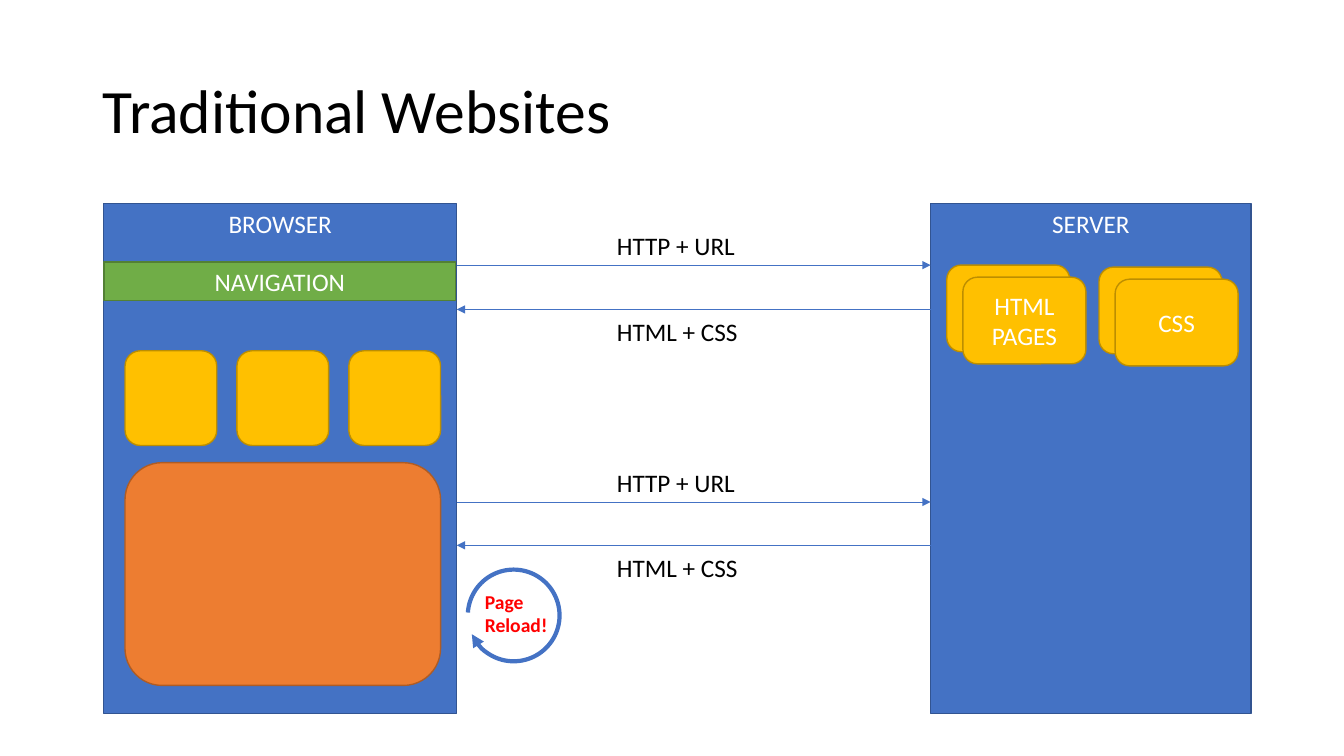
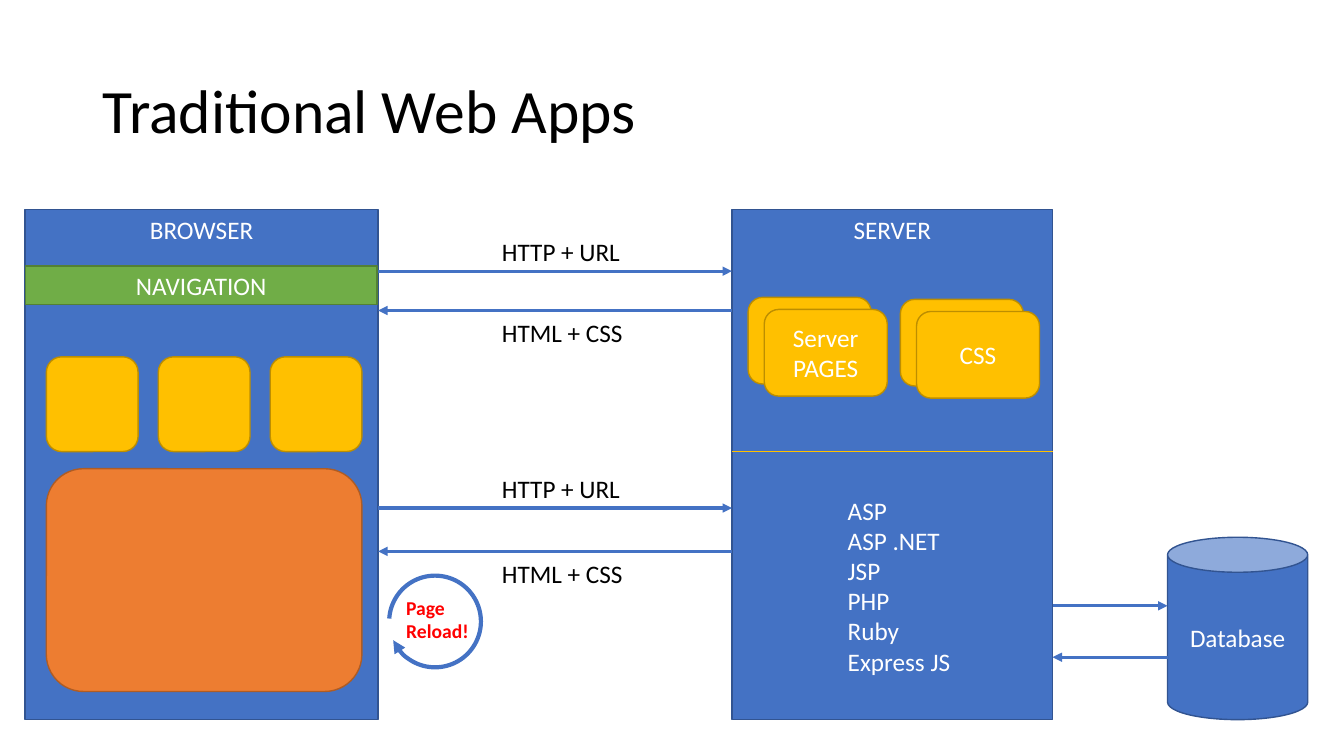
from lxml.etree import SubElement
from pptx import Presentation
from pptx.dml.color import RGBColor
from pptx.enum.shapes import MSO_CONNECTOR, MSO_SHAPE
from pptx.enum.text import MSO_ANCHOR, MSO_AUTO_SIZE, PP_ALIGN
from pptx.oxml.ns import qn
from pptx.util import Inches, Pt

COLORS = {
    "blue": "4472C4", "navy": "325491",
    "gold": "FFC000", "ochre": "BD8E00",
    "orange": "ED7D31", "rust": "AF5C24",
    "green": "70AD47", "moss": "538035",
    "white": "FFFFFF", "black": "000000", "red": "FF0000",
}
EDGES = {"blue": "navy", "gold": "ochre", "orange": "rust", "green": "moss"}
FONT = "Calibri"
WIDE, TALL = 3.5, 5.06
SPAN = 3.18


def tint(name):
    return RGBColor.from_string(COLORS[name])


class Deck:
    def __init__(self):
        self.prs = Presentation()
        self.prs.slide_width = Inches(13.33)
        self.prs.slide_height = Inches(7.5)
        self.slide = None

    def place(self, *sizes):
        return [Inches(size) for size in sizes]

    def style(self, frame, size, color, align=PP_ALIGN.LEFT, bold=False):
        for para in frame.paragraphs:
            para.alignment = align
            for run in para.runs:
                run.font.name = FONT
                run.font.size = Pt(size)
                run.font.bold = bold
                run.font.color.rgb = tint(color)

    def start(self, text):
        self.slide = self.prs.slides.add_slide(self.prs.slide_layouts[5])
        title = self.slide.shapes.title
        title.left, title.top, title.width, title.height = self.place(0.92, 0.4, 11.5, 1.45)
        frame = title.text_frame
        frame.text = text
        frame.vertical_anchor = MSO_ANCHOR.MIDDLE
        frame.paragraphs[0].line_spacing = 0.9
        self.style(frame, 44, "black")

    def group(self):
        return self.slide.shapes.add_group_shape()

    def box(self, x, y, w, h, fill, text="", kind=MSO_SHAPE.RECTANGLE,
            anchor=MSO_ANCHOR.MIDDLE, host=None):
        host = host or self.slide
        shape = host.shapes.add_shape(kind, *self.place(x, y, w, h))
        shape.shadow.inherit = False
        shape.fill.solid()
        shape.fill.fore_color.rgb = tint(fill)
        shape.line.color.rgb = tint(EDGES[fill])
        shape.line.width = Pt(1)
        frame = shape.text_frame
        frame.vertical_anchor = anchor
        if text:
            frame.text = text
            self.style(frame, 18, "white", PP_ALIGN.CENTER)

    def round(self, x, y, w, h, fill, text="", host=None):
        self.box(x, y, w, h, fill, text, MSO_SHAPE.ROUNDED_RECTANGLE, host=host)

    def panel(self, x, y, w, text):
        self.box(x, y, w, TALL, "blue", text, anchor=MSO_ANCHOR.TOP)

    def label(self, x, y, w, h, text, color="black", size=18, bold=False, host=None):
        host = host or self.slide
        frame = host.shapes.add_textbox(*self.place(x, y, w, h)).text_frame
        frame.word_wrap = False
        frame.auto_size = MSO_AUTO_SIZE.SHAPE_TO_FIT_TEXT
        frame.text = text
        self.style(frame, size, color, bold=bold)

    def head(self, shape):
        line = shape.element.spPr.find(qn("a:ln"))
        SubElement(line, qn("a:tailEnd"), type="triangle")

    def line(self, x, end, y, width, color="blue", arrow=True):
        link = self.slide.shapes.add_connector(
            MSO_CONNECTOR.STRAIGHT, *self.place(x, y, end, y))
        link.line.color.rgb = tint(color)
        link.line.width = Pt(width)
        if arrow:
            self.head(link)
        SubElement(link.element.spPr, qn("a:effectLst"))

    def stack(self, x, y, text):
        group = self.group()
        for step, name in enumerate(["", text]):
            self.round(x + 0.16 * step, y + 0.12 * step, 1.22, 0.86, "gold", name, group)

    def reload(self, x, y):
        group = self.group()
        arc = group.shapes.add_shape(MSO_SHAPE.ARC, *self.place(x, y, 0.91, 0.91))
        arc.adjustments[0] = 162
        arc.adjustments[1] = 145.33
        arc.rotation = 273.6
        arc.shadow.inherit = False
        arc.fill.background()
        arc.line.color.rgb = tint("blue")
        arc.line.width = Pt(3)
        self.head(arc)
        self.label(x + 0.07, y + 0.15, 0.83, 0.57, "Page\nReload!", "red", 14, True, group)

    def browser(self, x, y, bar):
        self.panel(x, y, WIDE, "BROWSER")
        self.box(x, y + bar, 3.49, 0.38, "green", "NAVIGATION")
        for tile in range(3):
            self.round(x + 0.21 + 1.11 * tile, y + 1.46, 0.91, 0.94, "gold")
        self.round(x + 0.21, y + 2.57, 3.13, 2.21, "orange")

    def server(self, x, y, drop, pages):
        self.panel(x, y, SPAN, "SERVER")
        for step, name in enumerate([pages, "CSS"]):
            self.stack(x + 0.16 + 1.51 * step, y + drop + 0.02 * step, name)

    def trip(self, left, right, y, gap, width, text):
        self.line(left, right, y, width)
        self.line(right, left, y + gap, width)
        self.label(text, y - 0.39, 1.39, 0.4, "HTTP + URL")
        self.label(text, y + gap + 0.02, 1.47, 0.4, "HTML + CSS")

    def scene(self, title, left, right, y, bar, drop, pages, gap, width, text):
        self.start(title)
        self.server(right, y, drop, pages)
        self.browser(left, y, bar)
        edge = left + WIDE
        self.trip(edge, right, y + 0.61, gap, width, text)
        self.trip(edge, right, y + 2.96, 0.43, width, text)
        self.reload(edge + 0.11, y + 3.63)


def main():
    deck = Deck()
    deck.scene("Traditional Websites", 1.03, 9.23, 2.02, 0.58, 0.61,
               "HTML PAGES", 0.44, 0.5, 6.02)
    deck.scene("Traditional Web Apps", 0.25, 7.26, 2.08, 0.56, 0.87,
               "Server PAGES", 0.39, 2.25, 4.88)
    edge, store = 7.26 + SPAN, 11.58
    deck.line(7.26, edge, 4.48, 0.5, "gold", False)
    deck.label(8.31, 4.86, 1.23, 1.92,
               "ASP\nASP .NET\nJSP\nPHP\nRuby\nExpress JS", "white")
    deck.box(store, 5.33, 1.39, 1.81, "blue", "Database", MSO_SHAPE.CAN)
    deck.line(edge, store, 6.01, 2.25)
    deck.line(store, edge, 6.52, 2.25)
    deck.prs.save("out.pptx")


if __name__ == "__main__":
    main()
